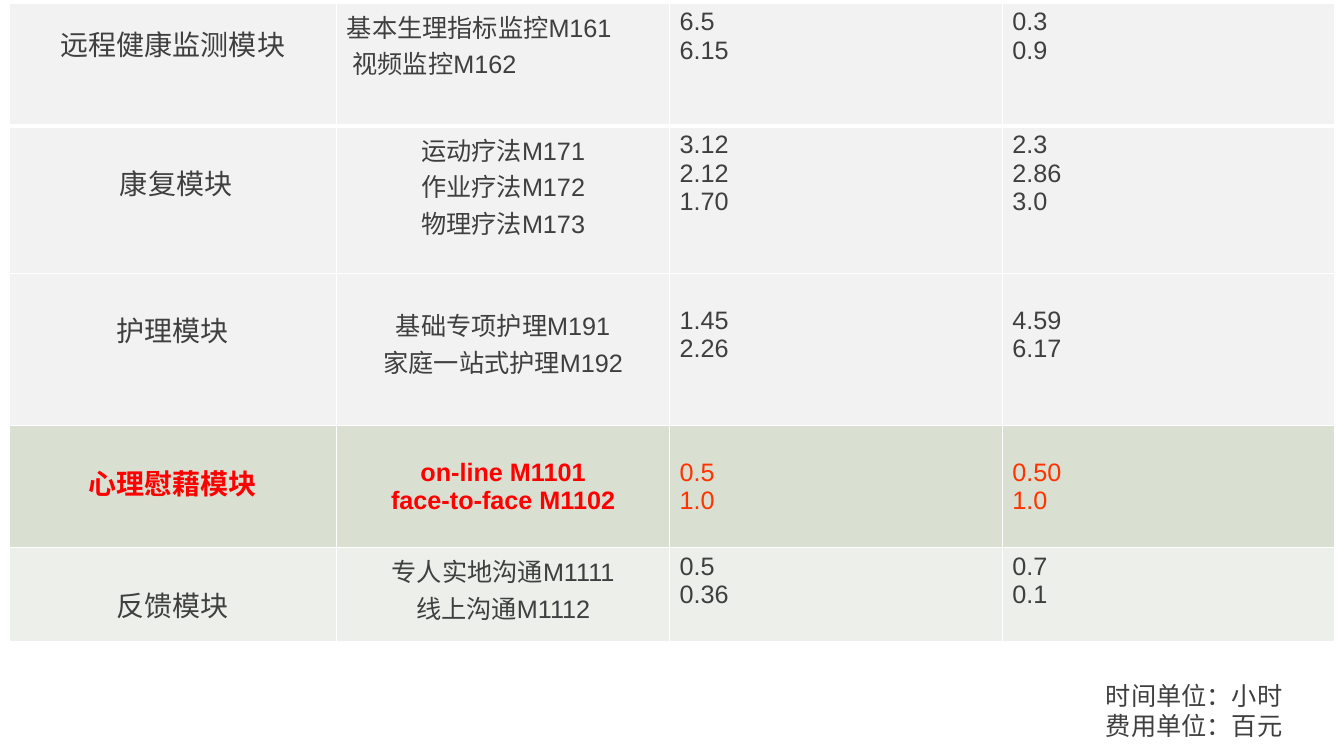
from dataclasses import dataclass

from lxml.etree import SubElement
from pptx import Presentation
from pptx.dml.color import RGBColor
from pptx.enum.text import PP_ALIGN
from pptx.oxml.ns import qn
from pptx.util import Inches, Pt


@dataclass(frozen=True)
class Theme:
    font: str = "Arial"
    ink: str = "3F3F3F"
    alert: str = "FF0000"
    alert_value: str = "FF3300"
    border: str = "FFFFFF"
    plain: str = "F2F2F2"
    highlight: str = "D9DFD1"
    pale: str = "EDEFEA"
    module_size: int = 20
    body_size: int = 18


theme = Theme()


def write_lines(frame, lines, size, color, align=PP_ALIGN.LEFT, bold=False):
    for index, line in enumerate(lines):
        paragraph = frame.paragraphs[0] if index == 0 else frame.add_paragraph()
        paragraph.alignment = align
        run = paragraph.add_run()
        run.text = line
        run.font.name = theme.font
        run.font.size = Pt(size)
        run.font.bold = bold
        run.font.color.rgb = RGBColor.from_string(color)


def set_borders(cell, widths):
    """Draw the cell's sides; widths maps L, R, T and B to points."""
    properties = cell._tc.get_or_add_tcPr()
    for side, width in widths.items():
        line = SubElement(properties, qn(f"a:ln{side}"), w=str(Pt(width)))
        fill = SubElement(line, qn("a:solidFill"))
        SubElement(fill, qn("a:srgbClr"), val=theme.border)


# Row height, fill, top margins of module and of details, then the four columns
modules = [
    (1.22, theme.plain, 0.2, 0.05, "远程健康监测模块",
     ["基本生理指标监控M161", " 视频监控M162"], ["6.5", "6.15"], ["0.3", "0.9"]),
    (1.46, theme.plain, 0.36, 0.05, " 康复模块",
     ["运动疗法M171", "作业疗法M172", "物理疗法M173"],
     ["3.12", "2.12", "1.70"], ["2.3", "2.86", "3.0"]),
    (1.51, theme.plain, 0.36, 0.33, "护理模块",
     ["基础专项护理M191", "家庭一站式护理M192"], ["1.45", "2.26"], ["4.59", "6.17"]),
    (1.21, theme.highlight, 0.36, 0.33, "心理慰藉模块",
     ["on-line M1101", "face-to-face M1102"], ["0.5", "1.0"], ["0.50", "1.0"]),
    (0.94, theme.pale, 0.36, 0.05, "反馈模块",
     ["专人实地沟通M1111", "线上沟通M1112"], ["0.5", "0.36"], ["0.7", "0.1"]),
]
column_widths = [3.25, 3.3, 3.3, 3.3]

presentation = Presentation()
presentation.slide_width = Inches(13.33)
presentation.slide_height = Inches(7.5)
slide = presentation.slides.add_slide(presentation.slide_layouts[6])

module_table = slide.shapes.add_table(
    len(modules), len(column_widths), Inches(0.09), Inches(0.03),
    Inches(sum(column_widths)), Inches(sum(module[0] for module in modules)),
).table
module_table.first_row = False
module_table.horz_banding = False
for column, width in zip(module_table.columns, column_widths):
    column.width = Inches(width)

for row, (height, fill, module_top, detail_top, name, services, hours, costs) in enumerate(modules):
    module_table.rows[row].height = Inches(height)
    highlighted = fill == theme.highlight
    for col, lines in enumerate([[name], services, hours, costs]):
        cell = module_table.cell(row, col)
        set_borders(cell, {"L": 1, "R": 1, "T": 3 if row == 1 else 1, "B": 3 if row == 0 else 1})
        cell.fill.solid()
        cell.fill.fore_color.rgb = RGBColor.from_string(fill)
        cell.margin_top = Inches(module_top if col == 0 else detail_top)
        centred = col == 0 or (col == 1 and row > 0)
        color = theme.ink
        if highlighted:
            color = theme.alert if col < 2 else theme.alert_value
        write_lines(
            cell.text_frame, lines,
            theme.module_size if col == 0 else theme.body_size, color,
            PP_ALIGN.CENTER if centred else PP_ALIGN.LEFT,
            bold=highlighted and col < 2,
        )

units = slide.shapes.add_textbox(Inches(10.87), Inches(6.7), Inches(2.49), Inches(0.71))
units.text_frame.word_wrap = True
write_lines(units.text_frame, ["时间单位：小时", "费用单位：百元"], theme.body_size, theme.ink)

presentation.save("out.pptx")
